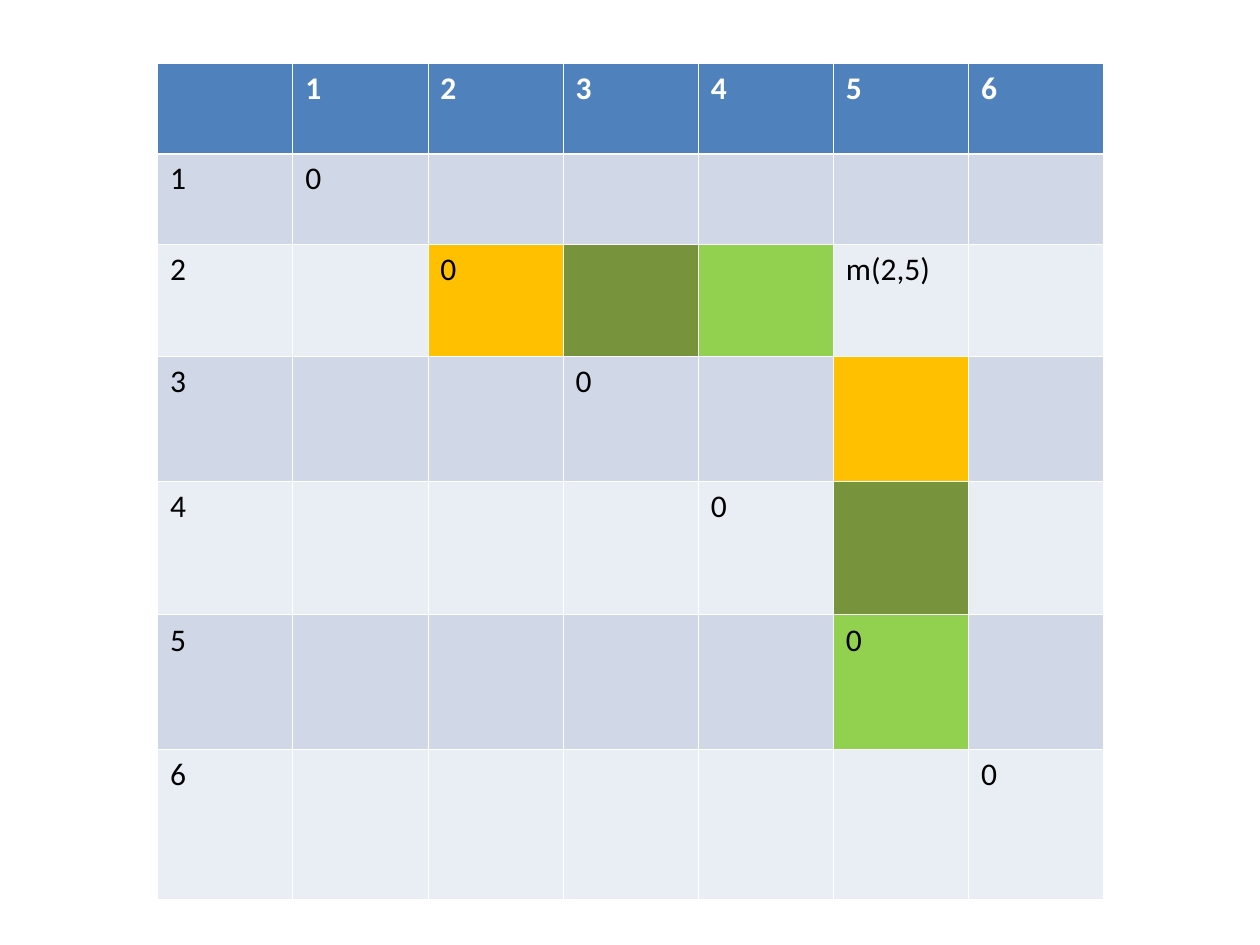
from dataclasses import dataclass

from lxml.etree import SubElement
from pptx import Presentation
from pptx.dml.color import RGBColor
from pptx.oxml.ns import qn
from pptx.table import _Cell as Cell
from pptx.util import Inches, Pt

SIZE = 6
TABLE_WIDTH = 7.51
ROW_HEIGHTS = [0.72, 0.72, 0.89, 0.99, 1.06, 1.07, 1.19]
THIN, THICK = 0.45, 1.47

WHITE, BLACK = "FFFFFF", "000000"
HEADER_FILL = "4F81BD"
BAND_FILLS = ["E9EDF4", "D0D8E8"]  # even rows, odd rows
ORANGE, OLIVE, LIME = "FFC000", "77933C", "92D050"

# Matching colours pair the subproblems m(2,k) and m(k+1,5)
HIGHLIGHTS = {
    (row, column): color
    for k, color in enumerate([ORANGE, OLIVE, LIME], start=2)
    for row, column in [(2, k), (k + 1, 5)]
}


@dataclass
class CellStyle:
    text: str
    fill: str
    color: str
    bold: bool
    top: float
    bottom: float


def rgb(color: str) -> RGBColor:
    return RGBColor.from_string(color)


def cell_text(row: int, column: int) -> str:
    if row == 0 or column == 0:
        return str(row + column or "")
    if row == column:
        return "0"
    return "m(2,5)" if (row, column) == (2, 5) else ""


def cell_style(row: int, column: int) -> CellStyle:
    header = row == 0
    band = HEADER_FILL if header else BAND_FILLS[row % 2]
    return CellStyle(
        text=cell_text(row, column),
        fill=HIGHLIGHTS.get((row, column), band),
        color=WHITE if header else BLACK,
        bold=header,
        top=THICK if row == 1 else THIN,
        bottom=THICK if header else THIN,
    )


def add_border(cell: Cell, side: str, width: float) -> None:
    properties = cell._tc.get_or_add_tcPr()
    line = SubElement(properties, qn(f"a:ln{side}"), w=str(int(Pt(width))))
    fill = SubElement(line, qn("a:solidFill"))
    SubElement(fill, qn("a:srgbClr"), val=WHITE)


def draw_cell(cell: Cell, style: CellStyle) -> None:
    # Borders come before the fill in the cell properties
    for side, width in zip("LRTB", [THIN, THIN, style.top, style.bottom]):
        add_border(cell, side, width)
    cell.fill.solid()
    cell.fill.fore_color.rgb = rgb(style.fill)

    cell.text = style.text
    font = cell.text_frame.paragraphs[0].font
    font.name = "Calibri"
    font.size = Pt(18)
    font.bold = style.bold
    font.color.rgb = rgb(style.color)


def main() -> None:
    presentation = Presentation()
    presentation.slide_width = Inches(10)
    presentation.slide_height = Inches(7.5)
    slide = presentation.slides.add_slide(presentation.slide_layouts[6])

    # Table of subproblem costs
    count = SIZE + 1
    table = slide.shapes.add_table(
        count, count, Inches(1.25), Inches(0.5),
        Inches(TABLE_WIDTH), Inches(sum(ROW_HEIGHTS)),
    ).table
    for column in table.columns:
        column.width = Inches(TABLE_WIDTH / count)
    for row, height in zip(table.rows, ROW_HEIGHTS):
        row.height = Inches(height)

    # Header, diagonal and highlighted cells
    for row in range(count):
        for column in range(count):
            draw_cell(table.cell(row, column), cell_style(row, column))

    presentation.save("out.pptx")


if __name__ == "__main__":
    main()
